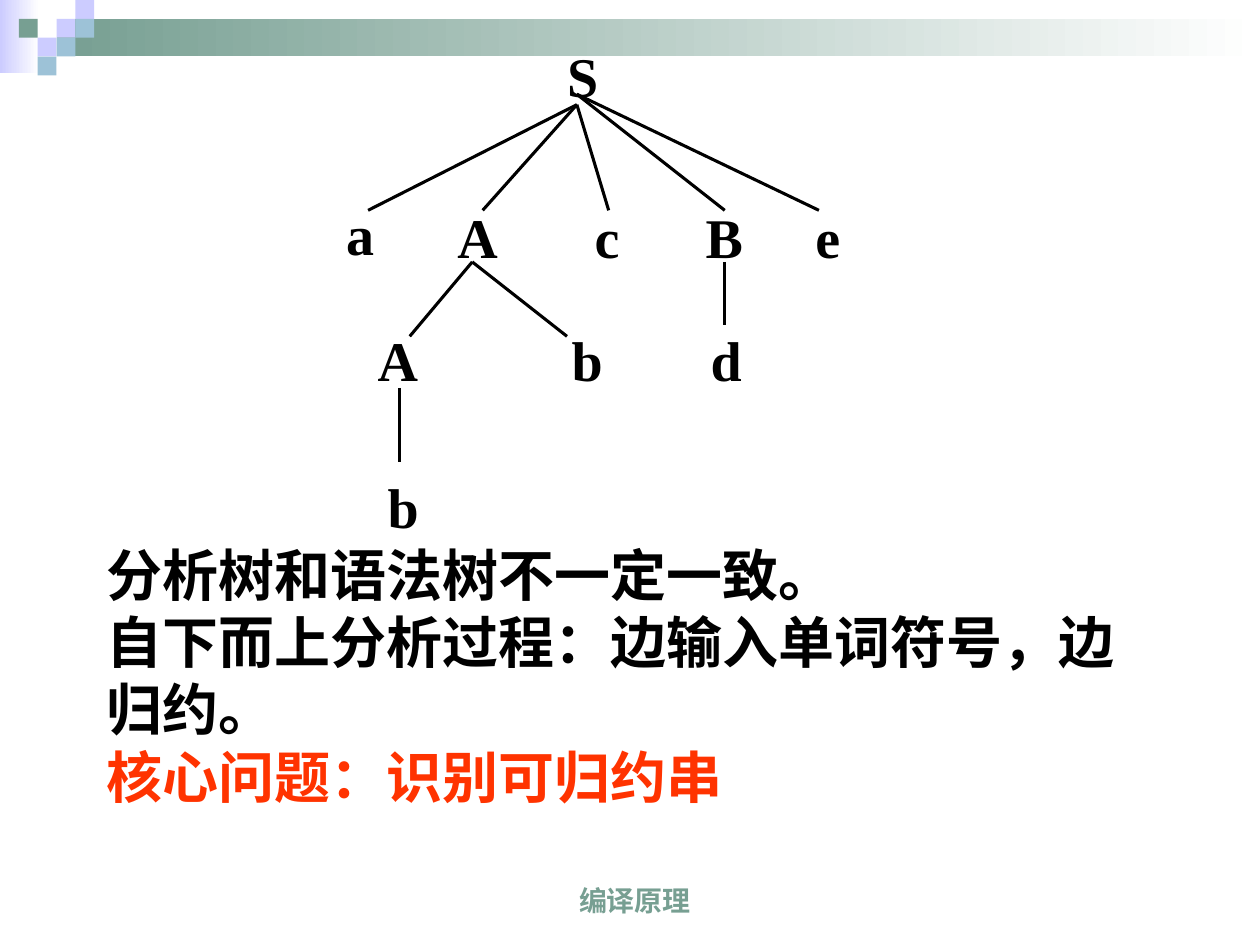
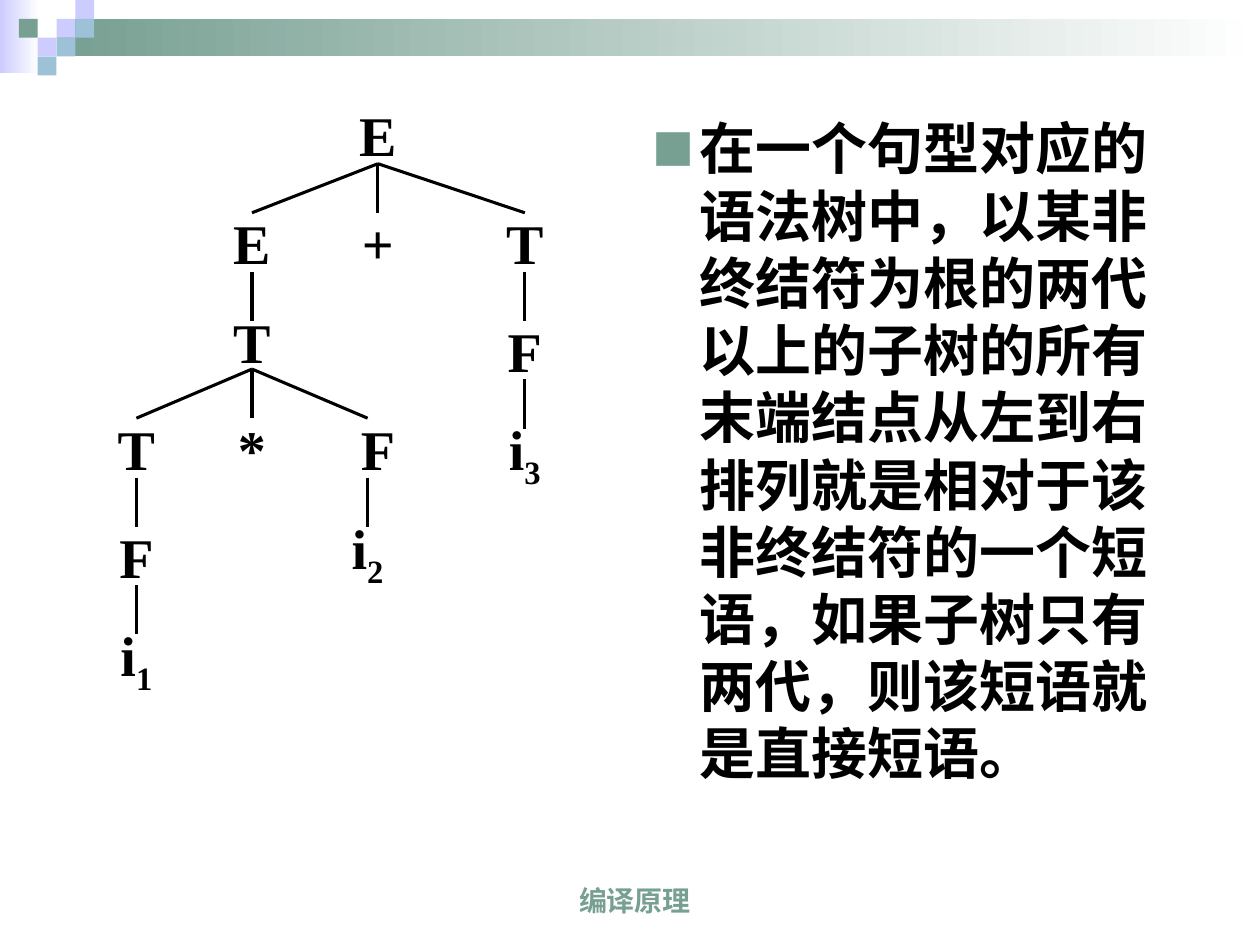
import pptx
import pptx.dml.color
import pptx.enum.shapes
import pptx.enum.text
import pptx.oxml.ns
import pptx.util
from lxml import etree

Cm = pptx.util.Cm
Pt = pptx.util.Pt
RGBColor = pptx.dml.color.RGBColor
qn = pptx.oxml.ns.qn
PP_ALIGN = pptx.enum.text.PP_ALIGN
MSO_ANCHOR = pptx.enum.text.MSO_ANCHOR
MSO_SHAPE = pptx.enum.shapes.MSO_SHAPE

GREEN = RGBColor(0x77, 0x9F, 0x92)
LILAC = RGBColor(0xCC, 0xCC, 0xFF)
BLUE = RGBColor(0x9D, 0xC2, 0xD7)
WHITE = RGBColor(0xFF, 0xFF, 0xFF)
BLACK = RGBColor(0, 0, 0)
RED = RGBColor(0xFF, 0x33, 0x00)

CJK = "Noto Sans CJK SC"
SERIF = "Times New Roman"
SQUARE = 0.38

# Labels are (text, subscript, centre x, centre y);
# branches are (x, top, bottom, end xs). All in cm from the tree's corner.
PARSE_LABELS = [
    ("S", "", 4.75, 0.52),
    ("a", "", 0.26, 3.69), ("A", "", 2.63, 3.77), ("c", "", 5.24, 3.77),
    ("B", "", 7.6, 3.77), ("e", "", 9.69, 3.77),
    ("A", "", 1.02, 6.23), ("b", "", 4.84, 6.23), ("d", "", 7.64, 6.23),
    ("b", "", 1.13, 9.2),
]
PARSE_BRANCHES = [
    (4.63, 1.11, 3.24, [0.42, 2.73, 5.27]),
    (4.63, 0.9, 3.24, [7.61, 9.51]),
    (2.52, 4.28, 5.78, [1.26, 4.43]),
    (7.6, 4.28, 5.55, [7.6]),
    (1.05, 6.82, 8.32, [1.05]),
]
EXPR_LABELS = [
    ("E", "", 5.72, 0.6),
    ("E", "", 3.18, 2.78), ("+", "", 5.72, 2.78), ("T", "", 8.68, 2.78),
    ("T", "", 3.18, 4.76), ("F", "", 8.68, 4.95),
    ("T", "", 0.85, 6.92), ("*", "", 3.18, 6.92), ("F", "", 5.72, 6.92),
    ("i", "3", 8.68, 7.12),
    ("F", "", 0.85, 9.1), ("i", "2", 5.51, 9.1),
    ("i", "1", 0.85, 11.26),
]
DROP = 0.99
EXPR_BRANCHES = [(x, top, top + DROP, ends) for x, top, ends in [
    (5.72, 1.19, [3.18, 5.72, 8.68]),
    (3.18, 3.38, [3.18]),
    (3.18, 5.33, [0.85, 3.18, 5.51]),
    (0.85, 7.52, [0.85]),
    (0.85, 9.68, [0.85]),
    (5.51, 7.52, [5.51]),
    (8.68, 3.38, [8.68]),
    (8.68, 5.54, [8.68]),
]]


def add_run(p, text, font, color=BLACK, size=32):
    """Add a bold run and fix the line height at 1.2 times its size."""
    p.line_spacing = Pt(size * 1.2)
    r = p.add_run()
    r.text = text
    r.font.name, r.font.size, r.font.bold = font, Pt(size), True
    r.font.color.rgb = color
    if font == CJK:
        etree.SubElement(r.font._element, qn("a:ea"), typeface=CJK)
    return r


def add_text_box(s, left, top, width, height):
    tf = s.shapes.add_textbox(Cm(left), Cm(top), Cm(width), Cm(height)).text_frame
    tf.word_wrap = True
    return tf


def add_block(s, left, top, width, height, color, fade=False):
    sp = s.shapes.add_shape(MSO_SHAPE.RECTANGLE, Cm(left), Cm(top), Cm(width), Cm(height))
    sp.shadow.inherit = False
    sp.line.fill.background()
    if fade:
        sp.fill.gradient()
        sp.fill.gradient_angle = 0
        for stop, rgb, position in zip(sp.fill.gradient_stops, (color, WHITE), (0, 1)):
            stop.color.rgb = rgb
            stop.position = position
    else:
        sp.fill.solid()
        sp.fill.fore_color.rgb = color


def add_header(s, left, top, width):
    """Fading bands with a staircase of small squares."""
    add_block(s, left, top, 0.79, 1.48, LILAC, fade=True)
    band = 3 * SQUARE
    add_block(s, left + band, top + SQUARE, width - band, 2 * SQUARE, GREEN, fade=True)
    for col, row, color in [(3, 1, LILAC), (4, 0, LILAC), (4, 1, BLUE), (2, 2, LILAC),
                            (1, 1, GREEN), (3, 2, BLUE), (2, 3, BLUE)]:
        add_block(s, left + col * SQUARE, top + row * SQUARE, SQUARE, SQUARE, color)


def add_footer(s, left, top, width, height):
    tf = add_text_box(s, left, top, width, height)
    tf.vertical_anchor = MSO_ANCHOR.BOTTOM
    p = tf.paragraphs[0]
    p.alignment = PP_ALIGN.CENTER
    add_run(p, "编译原理", "Arial", GREEN, 16)


def add_tree(s, left, top, labels, branches):
    width, height = 1.7, 1.36
    for text, subscript, x, y in labels:
        tf = add_text_box(s, left + x - width / 2, top + y - height / 2, width, height)
        tf.margin_left = tf.margin_right = tf.margin_top = tf.margin_bottom = 0
        tf.vertical_anchor = MSO_ANCHOR.MIDDLE
        p = tf.paragraphs[0]
        p.alignment = PP_ALIGN.CENTER
        add_run(p, text, SERIF)
        if subscript:
            add_run(p, subscript, SERIF).font._element.set("baseline", "-25000")
    for x, start, end, end_xs in branches:
        for end_x in end_xs:
            line = s.shapes.add_connector(
                pptx.enum.shapes.MSO_CONNECTOR.STRAIGHT,
                Cm(left + x), Cm(top + start), Cm(left + end_x), Cm(top + end))
            line.line.color.rgb = BLACK
            line.line.width = Pt(1.75)
            etree.SubElement(line._element.spPr, qn("a:effectLst"))


def add_remarks(s, left, top, width, height):
    tf = add_text_box(s, left, top, width, height)
    remarks = [("分析树和语法树不一定一致。", BLACK),
               ("自下而上分析过程：边输入单词符号，边归约。", BLACK),
               ("核心问题：识别可归约串", RED)]
    for i, (text, color) in enumerate(remarks):
        p = tf.add_paragraph() if i else tf.paragraphs[0]
        add_run(p, text, CJK, color)


def add_definition(body, left, top, width, height):
    body.left, body.top, body.width, body.height = Cm(left), Cm(top), Cm(width), Cm(height)
    tf = body.text_frame
    tf.auto_size = pptx.enum.text.MSO_AUTO_SIZE.NONE
    p = tf.paragraphs[0]
    pPr = p._p.get_or_add_pPr()
    pPr.set("marL", str(Cm(0.95)))
    pPr.set("indent", str(Cm(-0.95)))
    color = etree.SubElement(pPr, qn("a:buClr"))
    etree.SubElement(color, qn("a:srgbClr"), val=str(GREEN))
    etree.SubElement(pPr, qn("a:buSzPct"), val="75000")
    etree.SubElement(pPr, qn("a:buFont"), typeface=CJK)
    etree.SubElement(pPr, qn("a:buChar"), char="■")
    p.space_before = Pt(0)
    add_run(p, "在一个句型对应的语法树中，以某非终结符为根的两代以上的子树的所有末端结点"
               "从左到右排列就是相对于该非终结符的一个短语，如果子树只有两代，"
               "则该短语就是直接短语。", CJK)


def add_slide(prs, layout):
    """Add a slide with the shared header and footer."""
    s = prs.slides.add_slide(prs.slide_layouts.get_by_name(layout))
    add_header(s, 0, 0, 25.4)
    add_footer(s, 8.3, 17.35, 9, 1.27)
    return s


def parse_tree_slide(prs):
    s = add_slide(prs, "Blank")
    add_tree(s, 7, 1, PARSE_LABELS, PARSE_BRANCHES)
    add_remarks(s, 1.9, 10.77, 21.6, 6.15)


def phrase_slide(prs):
    s = add_slide(prs, "Title and Content")
    title = s.shapes.title._element
    title.getparent().remove(title)
    add_definition(s.placeholders[1], 12.9, 2.17, 11.43, 15.67)
    add_tree(s, 1.9, 2.11, EXPR_LABELS, EXPR_BRANCHES)


def main():
    prs = pptx.Presentation()
    prs.slide_width, prs.slide_height = Cm(25.4), Cm(19.05)
    parse_tree_slide(prs)
    phrase_slide(prs)
    prs.save("out.pptx")


if __name__ == "__main__":
    main()
